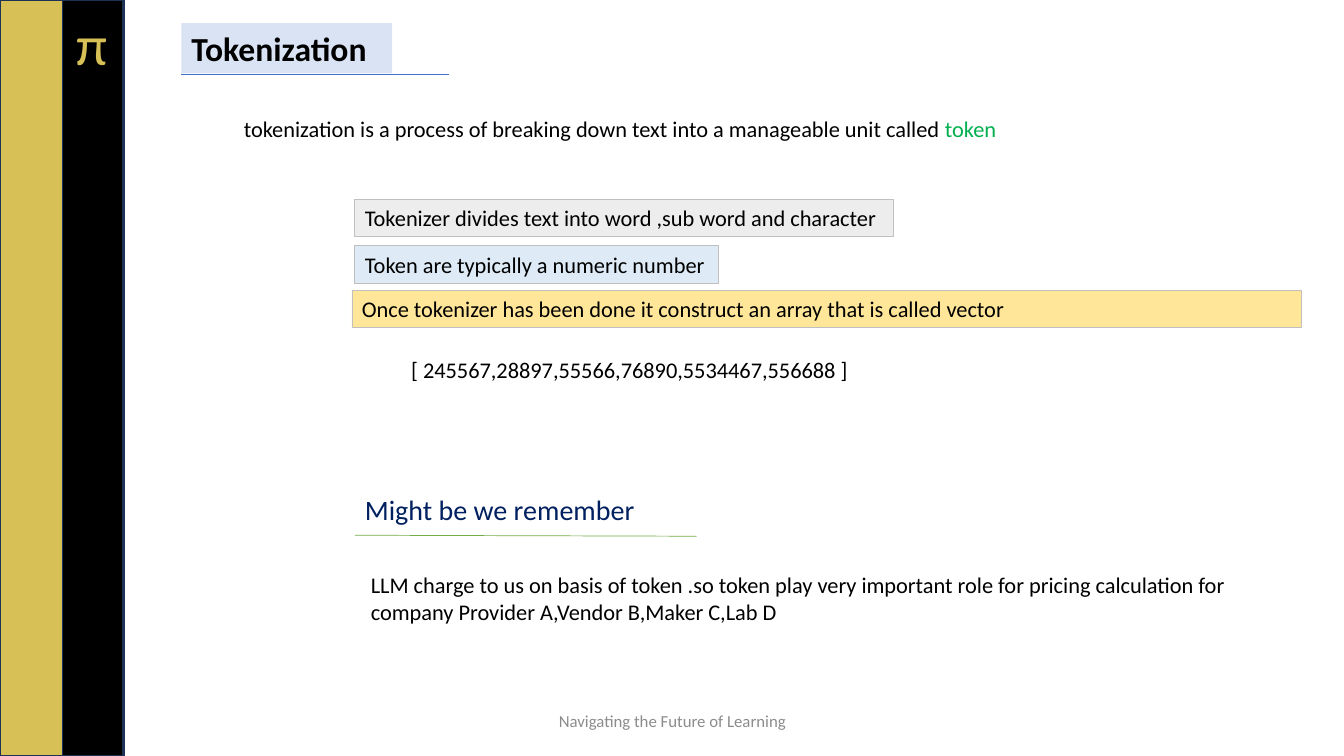
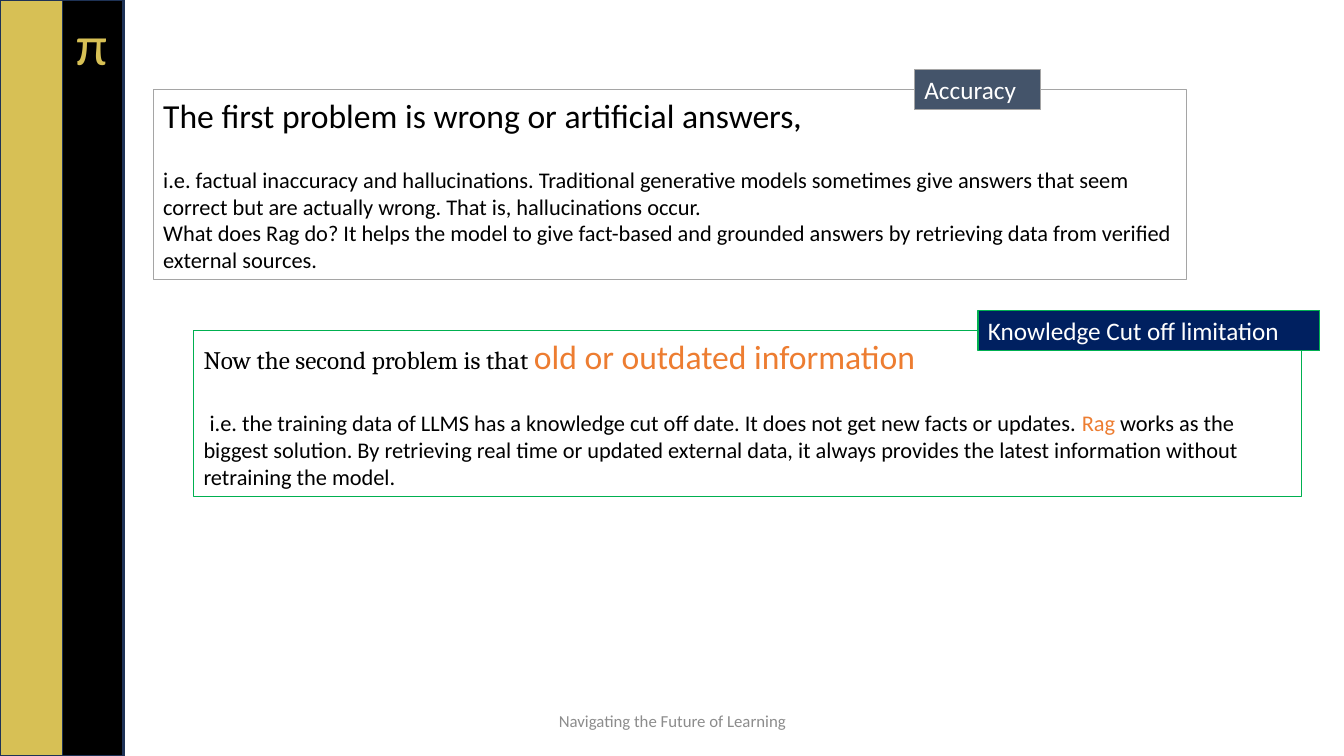
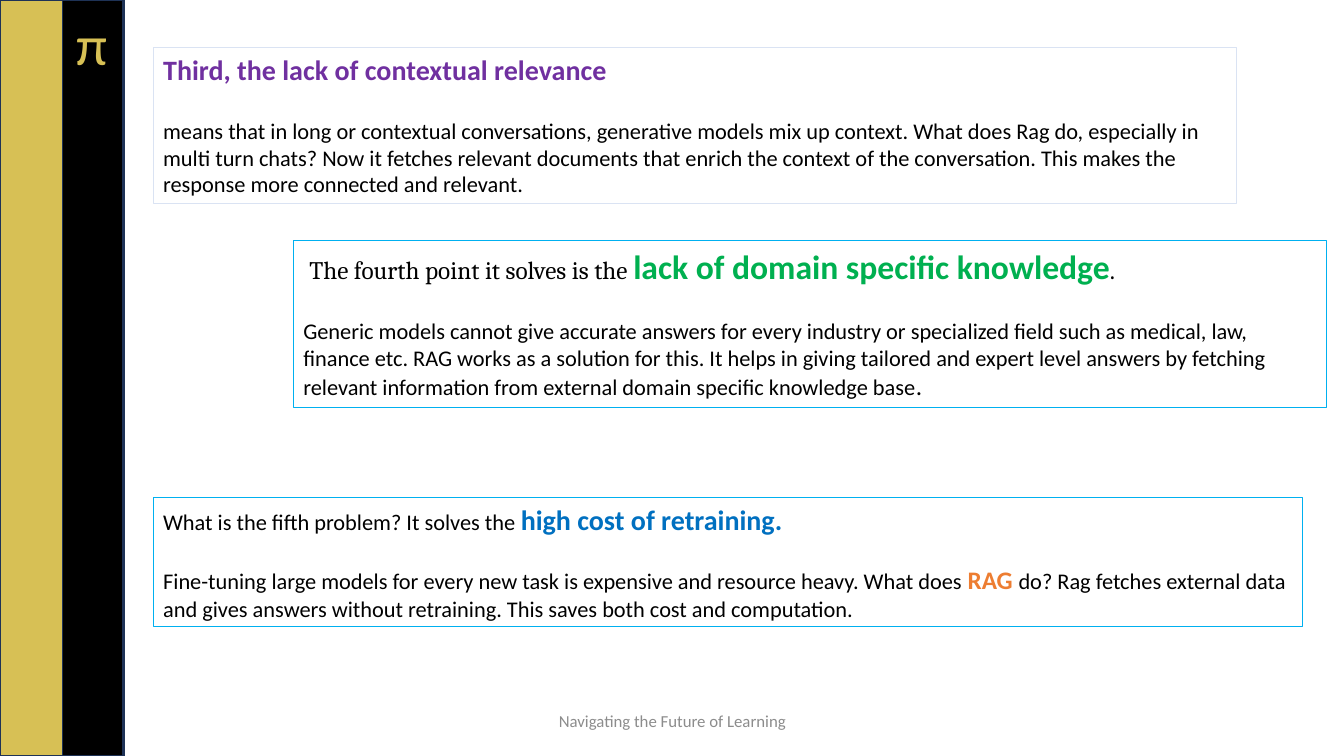
from dataclasses import dataclass
from typing import Any, Optional

from lxml import etree
from pptx import Presentation
from pptx.dml.color import RGBColor
from pptx.enum.shapes import MSO_CONNECTOR, MSO_SHAPE
from pptx.enum.text import MSO_ANCHOR, PP_ALIGN
from pptx.oxml.ns import qn
from pptx.util import Pt

RECTANGLE = MSO_SHAPE.RECTANGLE
STRAIGHT = MSO_CONNECTOR.STRAIGHT
TOP, MIDDLE = MSO_ANCHOR.TOP, MSO_ANCHOR.MIDDLE
LEFT, CENTER = PP_ALIGN.LEFT, PP_ALIGN.CENTER

EMU_PER_PX = 9144  # 100 px to the inch
SLIDE_WIDTH, SLIDE_HEIGHT = 1333, 750


@dataclass(frozen=True)
class Theme:
    font: str = "Calibri"
    serif: str = "Cambria"
    # Type sizes in points
    footer: int = 12
    body: int = 16
    lead: int = 18
    heading: int = 20
    title: int = 24
    symbol: int = 40
    # Colours
    black: str = "000000"
    white: str = "FFFFFF"
    gold: str = "D7C055"
    band_edge: str = "1E3256"
    footer_grey: str = "8C8C8C"
    pale_blue: str = "DAE3F3"
    ice: str = "DEEBF7"
    pale_grey: str = "EDEDED"
    sand: str = "FFE699"
    silver: str = "BFBFBF"
    grey: str = "A5A5A5"
    slate: str = "44546A"
    navy: str = "002060"
    blue: str = "4472C4"
    bright_blue: str = "0070C0"
    sky: str = "00B0F0"
    green: str = "00B050"
    leaf: str = "70AD47"
    orange: str = "ED7D31"
    purple: str = "7030A0"


THEME = Theme()


@dataclass(frozen=True)
class Run:
    text: str
    size: int = THEME.body
    color: str = THEME.black
    bold: bool = False
    font: str = THEME.font


@dataclass(frozen=True)
class Line:
    """One paragraph: its runs, space before in points, first-line indent in px."""
    runs: tuple[Run, ...]
    before: int = 0
    indent: int = 0
    align: Any = LEFT


@dataclass(frozen=True)
class Box:
    left: int
    top: int
    width: int
    height: int
    lines: tuple[Line, ...] = ()
    fill: Optional[str] = None
    border: Optional[str] = None
    border_width: float = 0.75
    anchor: Any = TOP


@dataclass(frozen=True)
class Rule:
    start: tuple[int, int]
    end: tuple[int, int]
    color: str
    width: float = 0.5


def px(value: int) -> int:
    return value * EMU_PER_PX


def rgb(color: str) -> RGBColor:
    return RGBColor.from_string(color)


def set_all(target: Any, values: dict[str, Any]) -> None:
    for name, value in values.items():
        setattr(target, name, value)


def single(text: str, size: int = THEME.body, color: str = THEME.black,
           bold: bool = False, align: Any = LEFT) -> tuple[Line, ...]:
    return (Line((Run(text, size, color, bold),), align=align),)


def write_line(paragraph: Any, line: Line) -> None:
    if line.indent:
        paragraph._p.get_or_add_pPr().set("indent", str(px(line.indent)))
    paragraph.alignment = line.align
    if line.before:
        paragraph.space_before = Pt(line.before)
    for part in line.runs:
        run = paragraph.add_run()
        run.text = part.text
        set_all(run.font, {"name": part.font, "size": Pt(part.size), "bold": part.bold})
        run.font.color.rgb = rgb(part.color)


def draw_box(slide: Any, box: Box) -> None:
    place = [px(value) for value in (box.left, box.top, box.width, box.height)]
    if box.fill or box.border:
        shape = slide.shapes.add_shape(RECTANGLE, *place)
        shape.shadow.inherit = False
        if box.fill:
            shape.fill.solid()
            shape.fill.fore_color.rgb = rgb(box.fill)
        else:
            shape.fill.background()
        if box.border:
            shape.line.color.rgb = rgb(box.border)
            shape.line.width = Pt(box.border_width)
        else:
            shape.line.fill.background()
    else:
        shape = slide.shapes.add_textbox(*place)
    frame = shape.text_frame
    set_all(frame, {"word_wrap": True, "vertical_anchor": box.anchor})
    for index, line in enumerate(box.lines):
        write_line(frame.add_paragraph() if index else frame.paragraphs[0], line)


def draw_rule(slide: Any, rule: Rule) -> None:
    ends = [px(value) for value in rule.start + rule.end]
    connector = slide.shapes.add_connector(STRAIGHT, *ends)
    connector.line.color.rgb = rgb(rule.color)
    connector.line.width = Pt(rule.width)
    etree.SubElement(connector._element.spPr, qn("a:effectLst"))


# Side bands, symbol and footer shared by every slide
FRAME = (
    Box(0, 0, 123, SLIDE_HEIGHT, fill=THEME.gold, border=THEME.band_edge, border_width=1),
    Box(62, 0, 60, SLIDE_HEIGHT, fill=THEME.black, border=THEME.band_edge, border_width=1),
    Box(66, 5, 48, 77, single("π", THEME.symbol, THEME.gold)),
    Box(442, 695, 450, 40, single("Navigating the Future of Learning", THEME.footer,
                                  THEME.footer_grey, align=CENTER), anchor=MIDDLE),
)

# Tokenization
TOKENIZATION = (
    Box(180, 23, 209, 50, single("Tokenization", THEME.title, bold=True),
        fill=THEME.pale_blue),
    Rule((180, 74), (445, 74), THEME.blue),
    Box(232, 109, 1060, 37, (Line((
        Run("tokenization is a process of breaking down text into a manageable unit called "),
        Run("token", color=THEME.green))),)),
    Box(352, 198, 534, 37, single("Tokenizer divides text into word ,sub word and character"),
        THEME.pale_grey, THEME.silver),
    Box(352, 244, 361, 37, single("Token are typically a numeric number"),
        THEME.ice, THEME.silver),
    Box(349, 288, 942, 37,
        single("Once tokenizer has been done it construct an array that is called vector"),
        THEME.sand, THEME.silver, 0.25),
    Box(398, 348, 460, 37, single("[ 245567,28897,55566,76890,5534467,556688 ]")),
    Box(352, 484, 319, 44, single("Might be we remember", THEME.heading, THEME.navy)),
    Rule((352, 531), (691, 532), THEME.leaf),
    Box(358, 562, 934, 64, single(
        "LLM charge to us on basis of token .so token play very important role for pricing "
        "calculation for company Provider A,Vendor B,Maker C,Lab D")),
)

# Accuracy and knowledge cut off
ACCURACY = (
    Box(152, 89, 1025, 188, (
        Line((Run("The first problem is wrong or artificial answers", THEME.title),
              Run(",", THEME.heading, bold=True))),
        Line((Run("i.e. factual inaccuracy and hallucinations. Traditional generative models "
                  "sometimes give answers that seem correct but are actually wrong. That is, "
                  "hallucinations occur."),), before=22),
        Line((Run("What does Rag do? It helps the model to give fact-based and grounded answers "
                  "by retrieving data from verified external sources."),)),
    ), border=THEME.grey),
    Box(907, 69, 125, 40, single("Accuracy", THEME.lead, THEME.white),
        THEME.slate, THEME.grey),
    Box(192, 328, 1099, 165, (
        Line((Run("Now the second problem is that ", THEME.lead, font=THEME.serif),
              Run("old or outdated information", THEME.title, THEME.orange))),
        Line((Run("i.e. the training data of LLMS has a knowledge cut off date. It does not get "
                  "new facts or updates. "),
              Run("Rag ", color=THEME.orange),
              Run("works as the biggest solution. By retrieving real time or updated external "
                  "data, it always provides the latest information without retraining the "
                  "model.")), before=24, indent=6),
    ), border=THEME.green),
    Box(970, 308, 339, 40, single("Knowledge Cut off limitation", THEME.lead, THEME.white),
        THEME.navy, THEME.green),
)

# Context, domain knowledge and retraining cost
RELEVANCE = (
    Box(152, 47, 1074, 155, (
        Line((Run("Third, the lack of contextual relevance", THEME.heading, THEME.purple, True),)),
        Line((Run("means that in long or contextual conversations, generative models mix up "
                  "context. What does Rag do, especially in multi turn chats? Now it fetches "
                  "relevant documents that enrich the context of the conversation. This makes "
                  "the response more connected and relevant."),), before=22),
    ), border=THEME.pale_blue),
    Box(291, 239, 1025, 165, (
        Line((Run("The fourth point it solves is the ", THEME.lead, font=THEME.serif),
              Run("lack of domain specific knowledge", THEME.title, THEME.green, True),
              Run(".", THEME.lead, font=THEME.serif)), indent=6),
        Line((Run("Generic models cannot give accurate answers for every industry or "
                  "specialized field such as medical, law, finance etc. RAG works as a solution "
                  "for this. It helps in giving tailored and expert level answers by fetching "
                  "relevant information from external domain specific knowledge base"),
              Run(".", THEME.lead)), before=22),
    ), border=THEME.sky),
    Box(152, 494, 1140, 128, (
        Line((Run("What is the fifth problem? It solves the "),
              Run("high cost of retraining.", THEME.heading, THEME.bright_blue, True))),
        Line((Run("Fine-tuning large models for every new task is expensive and resource heavy. "
                  "What does "),
              Run("RAG ", THEME.lead, THEME.orange, True),
              Run("do? Rag fetches external data and gives answers without retraining. This "
                  "saves both cost and computation.")), before=20),
    ), border=THEME.sky),
)


def main() -> None:
    presentation = Presentation()
    set_all(presentation, {"slide_width": px(SLIDE_WIDTH), "slide_height": px(SLIDE_HEIGHT)})
    blank = presentation.slide_layouts[6]
    for content in (TOKENIZATION, ACCURACY, RELEVANCE):
        slide = presentation.slides.add_slide(blank)
        for item in FRAME + content:
            if isinstance(item, Rule):
                draw_rule(slide, item)
            else:
                draw_box(slide, item)
    presentation.save("out.pptx")


if __name__ == "__main__":
    main()
